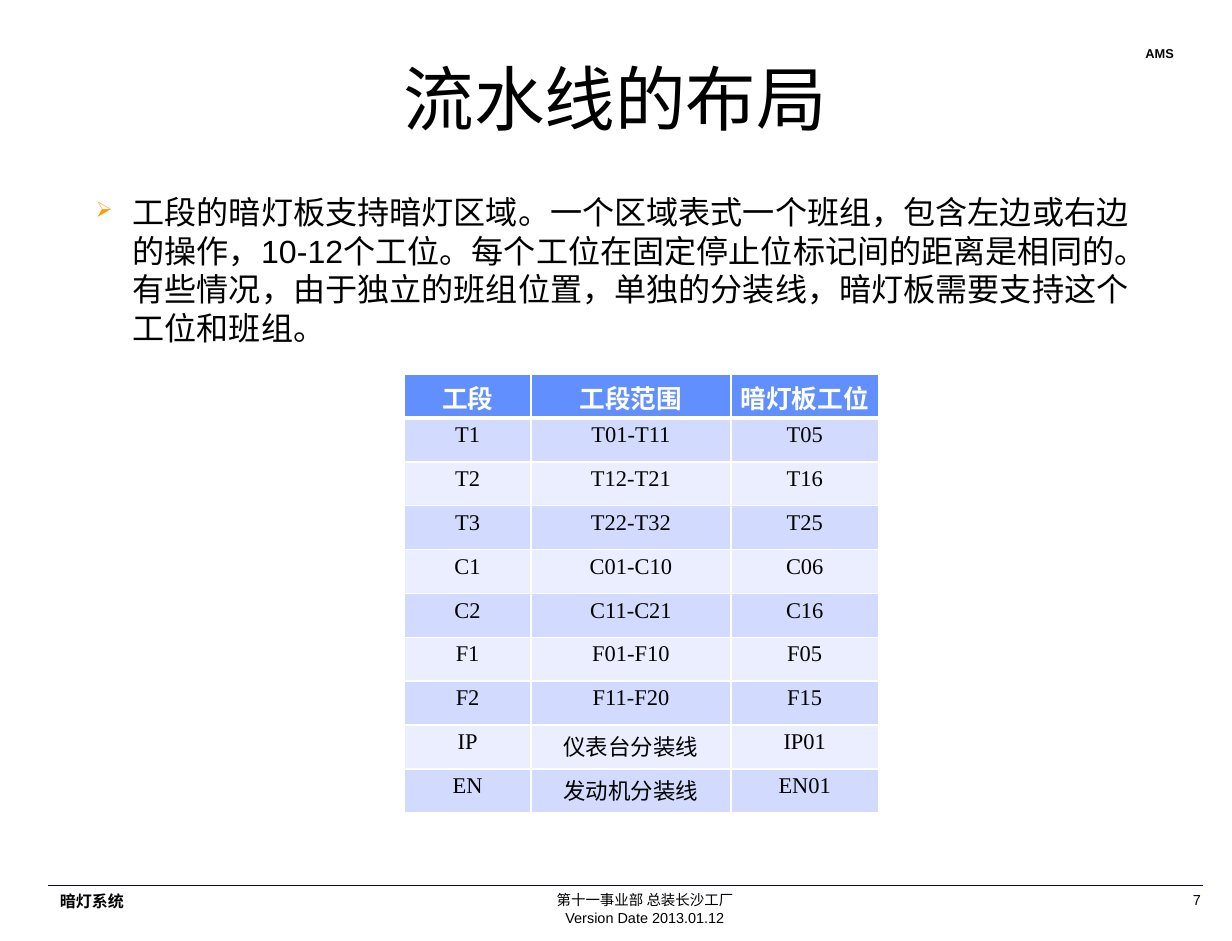
import pptx
import pptx.util
import pptx.dml.color
import pptx.enum.shapes
import pptx.enum.text
from lxml import etree

Inches = pptx.util.Inches
Pt = pptx.util.Pt
ALIGN = pptx.enum.text.PP_ALIGN
DRAWING = "http://schemas.openxmlformats.org/drawingml/2006/main"


def color(code):
    return pptx.dml.color.RGBColor.from_string(code)


def add_text(frame, lines, size, align=ALIGN.LEFT, font="Arial", bold=False, code="000000"):
    """Fill a text frame with one paragraph per line."""
    frame.word_wrap = True
    for index, line in enumerate(lines):
        para = frame.add_paragraph() if index else frame.paragraphs[0]
        para.alignment = align
        span = para.add_run()
        span.text = line
        span.font.size = Pt(size)
        span.font.name = font
        span.font.bold = bold
        span.font.color.rgb = color(code)


deck = pptx.Presentation()
deck.slide_width = Inches(10.67)
deck.slide_height = Inches(8.15)
page = deck.slides.add_slide(deck.slide_layouts[6])

# Footer and header
footer_top = Inches(7.67)
system = page.shapes.add_textbox(Inches(0.42), footer_top, Inches(2.08), Inches(0.5))
add_text(system.text_frame, ["暗灯系统"], 10, bold=True)

plant = page.shapes.add_textbox(Inches(4), footer_top, Inches(3.17), Inches(0.5))
add_text(plant.text_frame, ["第十一事业部 总装长沙工厂", "Version Date 2013.01.12"], 9, ALIGN.CENTER)

footer_rule = page.shapes.add_connector(
    pptx.enum.shapes.MSO_CONNECTOR.STRAIGHT, Inches(0.42), footer_top, Inches(10.42), footer_top)
footer_rule.line.color.rgb = color("000080")
footer_rule.line.width = Pt(1)
etree.SubElement(footer_rule._element.spPr, f"{{{DRAWING}}}effectLst")

number = page.shapes.add_textbox(Inches(10.11), footer_top, Inches(0.39), Inches(0.25))
add_text(number.text_frame, ["7"], 9, ALIGN.RIGHT)

header = page.shapes.add_textbox(Inches(9.67), Inches(0.35), Inches(0.67), Inches(0.23))
header.text_frame.margin_left = Inches(0.25)
header.text_frame.margin_right = 0
add_text(header.text_frame, ["AMS"], 8, bold=True)

# Body
body = page.shapes.add_textbox(Inches(0.73), Inches(1.62), Inches(9.35), Inches(2.12))
add_text(body.text_frame, [
    "工段的暗灯板支持暗灯区域。一个区域表式一个班组，包含左边或右边的操作，10-12个工位。"
    "每个工位在固定停止位标记间的距离是相同的。有些情况，由于独立的班组位置，单独的分装线，"
    "暗灯板需要支持这个工位和班组。"], 20)
bullet = body.text_frame.paragraphs[0]._p.get_or_add_pPr()
bullet.set("marL", str(Inches(0.32)))
bullet.set("indent", str(-Inches(0.32)))
bullet_color = etree.SubElement(bullet, f"{{{DRAWING}}}buClr")
etree.SubElement(bullet_color, f"{{{DRAWING}}}srgbClr", val="FE9B03")
etree.SubElement(bullet, f"{{{DRAWING}}}buSzPct", val="68000")
etree.SubElement(bullet, f"{{{DRAWING}}}buChar", char="➢")

# Section table
sections = [
    ("工段", "工段范围", "暗灯板工位"),
    ("T1", "T01-T11", "T05"),
    ("T2", "T12-T21", "T16"),
    ("T3", "T22-T32", "T25"),
    ("C1", "C01-C10", "C06"),
    ("C2", "C11-C21", "C16"),
    ("F1", "F01-F10", "F05"),
    ("F2", "F11-F20", "F15"),
    ("IP", "仪表台分装线", "IP01"),
    ("EN", "发动机分装线", "EN01"),
]
table = page.shapes.add_table(
    len(sections), 3, Inches(3.5), Inches(3.24), Inches(4.11), Inches(3.8)).table
for column, width in zip(table.columns, (1.1, 1.73, 1.28)):
    column.width = Inches(width)

for row, values in enumerate(sections):
    table.rows[row].height = Inches(0.38)
    heading = row == 0
    band = "618FFD" if heading else ("EAEEFF", "D2DBFE")[row % 2]
    for col, value in enumerate(values):
        cell = table.cell(row, col)
        cell.margin_left = cell.margin_right = Inches(0.08)
        cell.margin_top = cell.margin_bottom = Inches(0.04)
        add_text(cell.text_frame, [value], 16 if heading else 14, ALIGN.CENTER,
                 "Times New Roman", heading, "FFFFFF" if heading else "000000")
        borders = cell._tc.get_or_add_tcPr()
        for side in "LRTB":
            thick = (row, side) in ((0, "B"), (1, "T"))
            edge = etree.SubElement(borders, f"{{{DRAWING}}}ln{side}", w=str(Pt(3 if thick else 1)))
            paint = etree.SubElement(edge, f"{{{DRAWING}}}solidFill")
            etree.SubElement(paint, f"{{{DRAWING}}}srgbClr", val="FFFFFF")
        cell.fill.solid()
        cell.fill.fore_color.rgb = color(band)

# Title
title = page.shapes.add_textbox(Inches(0.73), Inches(0.43), Inches(9.2), Inches(1.57))
add_text(title.text_frame, ["流水线的布局"], 44, ALIGN.CENTER, "Times New Roman")

deck.save("out.pptx")
